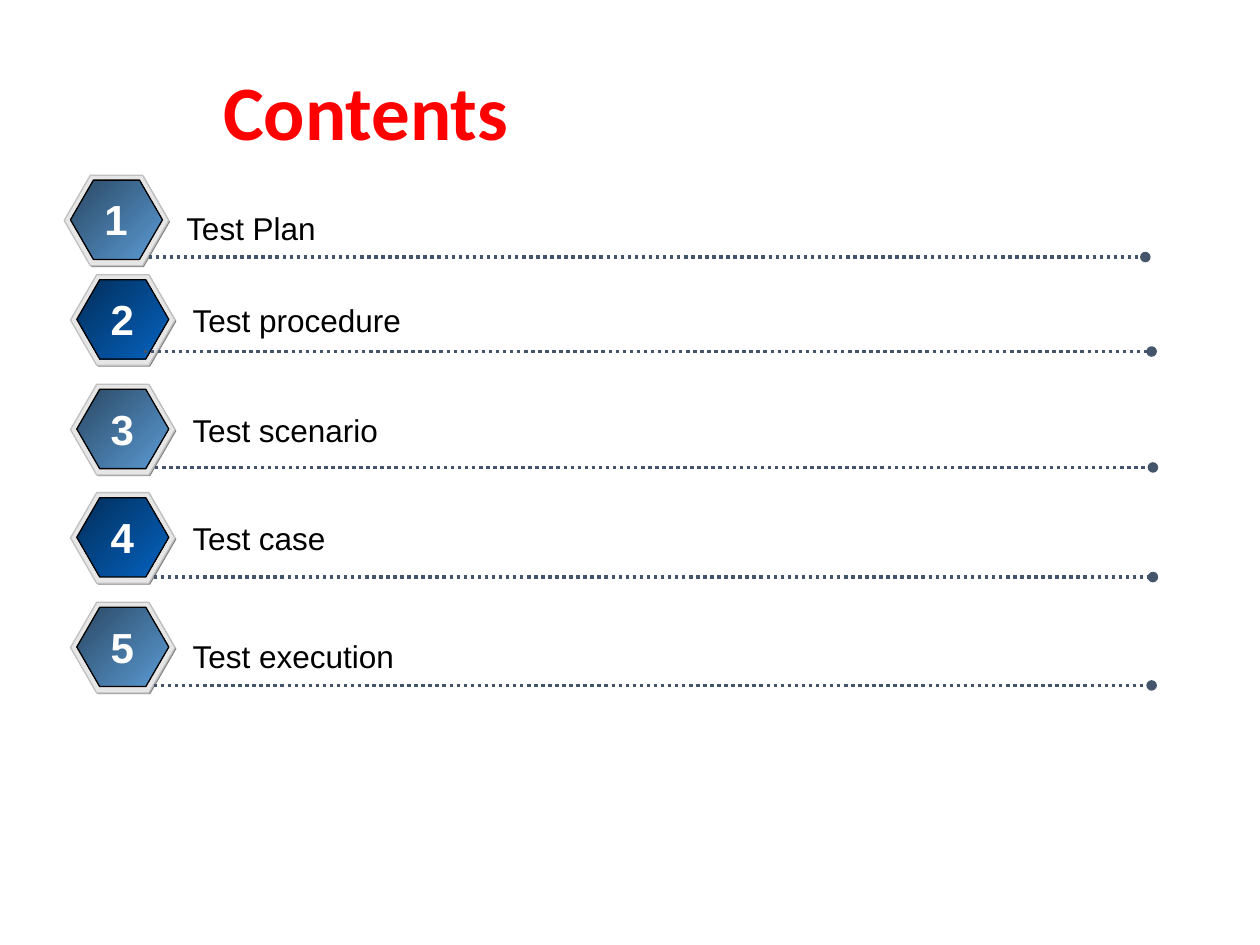
from typing import NamedTuple

from lxml.etree import SubElement
from pptx import Presentation
from pptx.dml.color import RGBColor
from pptx.enum.dml import MSO_LINE
from pptx.enum.shapes import MSO_CONNECTOR, MSO_SHAPE
from pptx.enum.text import MSO_ANCHOR, MSO_AUTO_SIZE, PP_ALIGN
from pptx.oxml.ns import qn
from pptx.util import Inches, Pt

COLORS = {
    "title": "FF0000", "text": "000000", "number": "FFFFFF",
    "shadow": "808080", "rim": "E6E6E6", "rim_line": "C0C0C0",
    "face_line": "000000", "rule": "44546A",
}
GRADIENTS = [("2A4863", "5B9BD5"), ("022E59", "0563C1")]
TITLE_FONT = {"name": "Calibri", "size": Pt(44), "bold": True}
LABEL_FONT = {"name": "Arial", "size": Pt(18), "bold": False}
NUMBER_FONT = {"name": "Arial", "size": Pt(24), "bold": True}


class Item(NamedTuple):
    label: str
    x: float
    y: float
    label_y: float
    label_w: float
    rule_x1: float
    rule_x2: float
    rule_y: float


ITEMS = [
    Item("Test Plan", 0.51, 1.39, 1.61, 8.18, 1.18, 9.09, 2.04),
    Item("Test procedure", 0.56, 2.18, 2.34, 5.31, 1.14, 9.14, 2.79),
    Item("Test scenario", 0.56, 3.05, 3.21, 6.44, 1.23, 9.15, 3.71),
    Item("Test case", 0.56, 3.91, 4.07, 7.64, 1.22, 9.15, 4.58),
    Item("Test execution", 0.56, 4.78, 5.01, 8.18, 1.22, 9.14, 5.44),
]


def rgb(key: str) -> RGBColor:
    return RGBColor.from_string(COLORS[key])


def write(p, text: str, color: str, font: dict) -> None:
    r = p.add_run()
    r.text = text
    for name, value in font.items():
        setattr(r.font, name, value)
    r.font.color.rgb = rgb(color)


def add_hexagon(s, x: float, y: float, w: float, h: float, line: str = ""):
    sp = s.shapes.add_shape(MSO_SHAPE.HEXAGON, Inches(x), Inches(y), Inches(w), Inches(h))
    sp.shadow.inherit = False
    sp.adjustments[0] = 0.289
    if line:
        sp.line.color.rgb = rgb(line)
        sp.line.width = Pt(0.75)
    else:
        sp.line.fill.background()
    return sp


def add_badge(s, x: float, y: float, gradient: tuple[str, str]) -> None:
    for dx, dy, fill, line in [(0.01, 0.01, "shadow", ""), (0, 0, "rim", "rim_line")]:
        sp = add_hexagon(s, x + dx, y + dy, 0.83, 0.72, line)
        sp.fill.solid()
        sp.fill.fore_color.rgb = rgb(fill)
    face = add_hexagon(s, x + 0.05, y + 0.04, 0.73, 0.63, "face_line")
    face.fill.gradient()
    face.fill.gradient_angle = 315
    for stop, color in zip(face.fill.gradient_stops, gradient):
        stop.color.rgb = RGBColor.from_string(color)


def add_rule(s, x1: float, x2: float, y: float) -> None:
    rule = s.shapes.add_connector(
        MSO_CONNECTOR.STRAIGHT, Inches(x1), Inches(y), Inches(x2), Inches(y))
    rule.line.color.rgb = rgb("rule")
    rule.line.width = Pt(2)
    rule.line.dash_style = MSO_LINE.ROUND_DOT
    SubElement(rule.line._get_or_add_ln(), qn("a:tailEnd"), type="oval")
    SubElement(rule._element.spPr, qn("a:effectLst"))


def add_text(s, x: float, y: float, w: float, h: float, text: str, color: str,
             font: dict, align: PP_ALIGN, wrap: bool) -> None:
    tf = s.shapes.add_textbox(Inches(x), Inches(y), Inches(w), Inches(h)).text_frame
    tf.word_wrap = wrap
    tf.auto_size = MSO_AUTO_SIZE.SHAPE_TO_FIT_TEXT
    p = tf.paragraphs[0]
    p.alignment = align
    write(p, text, color, font)


def add_title(s, text: str) -> None:
    title = s.shapes.title
    title.left, title.top = Inches(1.67), Inches(0.4)
    title.width, title.height = Inches(7.64), Inches(1.03)
    tf = title.text_frame
    tf.auto_size = MSO_AUTO_SIZE.NONE
    tf.vertical_anchor = MSO_ANCHOR.MIDDLE
    p = tf.paragraphs[0]
    p.alignment = PP_ALIGN.LEFT
    p.line_spacing = 0.9
    write(p, text, "title", TITLE_FONT)


def add_item(s, number: int, item: Item) -> None:
    add_badge(s, item.x, item.y, GRADIENTS[(number - 1) % 2])
    add_rule(s, item.rule_x1, item.rule_x2, item.rule_y)
    add_text(s, item.x + 0.87, item.label_y, item.label_w, 0.4, item.label,
             "text", LABEL_FONT, PP_ALIGN.LEFT, True)
    add_text(s, item.x + 0.22, item.y + 0.1, 0.38, 0.5, str(number),
             "number", NUMBER_FONT, PP_ALIGN.CENTER, False)


def main() -> None:
    prs = Presentation()
    prs.slide_width, prs.slide_height = Inches(10), Inches(7.5)
    s = prs.slides.add_slide(prs.slide_layouts[5])
    add_title(s, "Contents")
    for number, item in enumerate(ITEMS, 1):
        add_item(s, number, item)
    prs.save("out.pptx")


if __name__ == "__main__":
    main()
